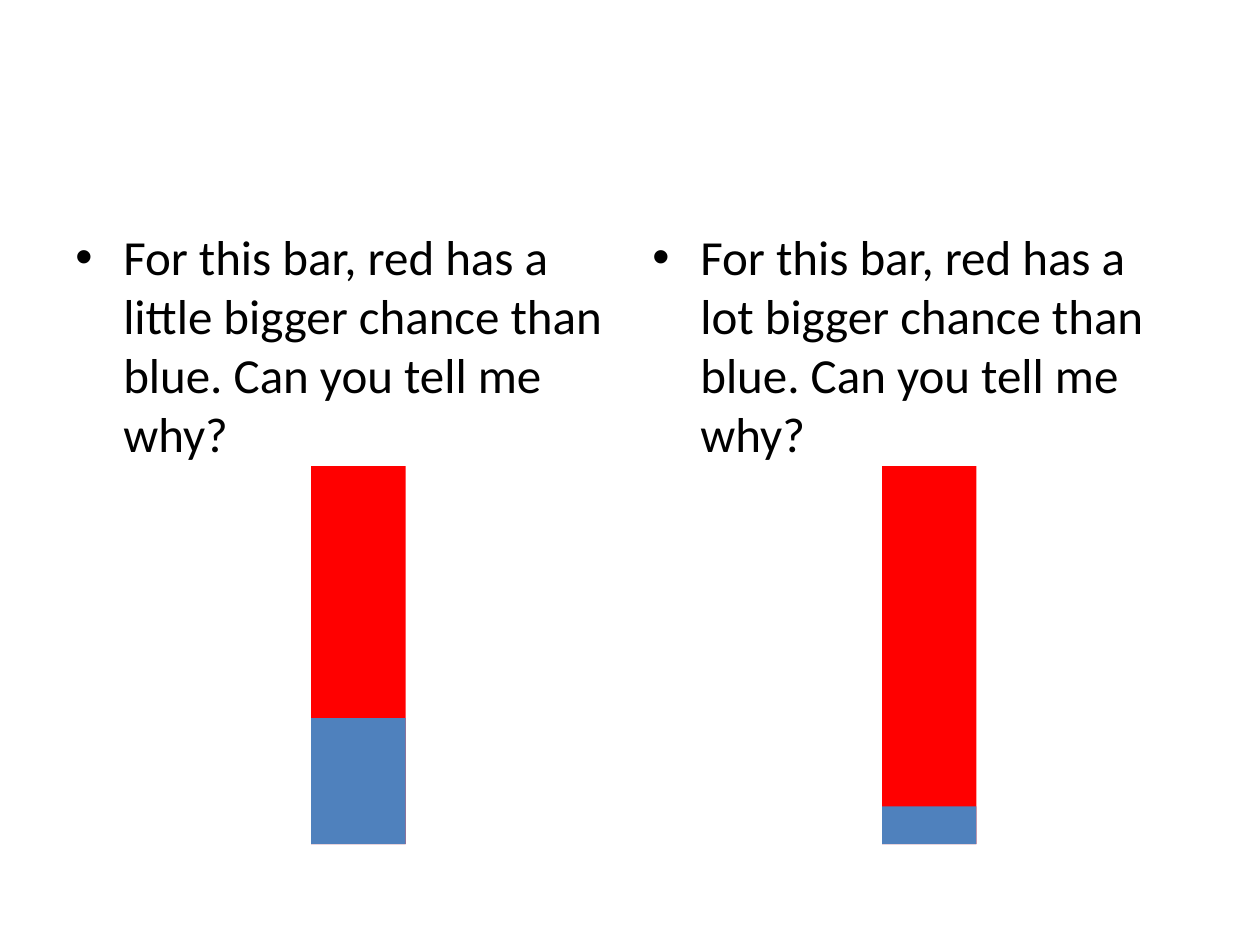
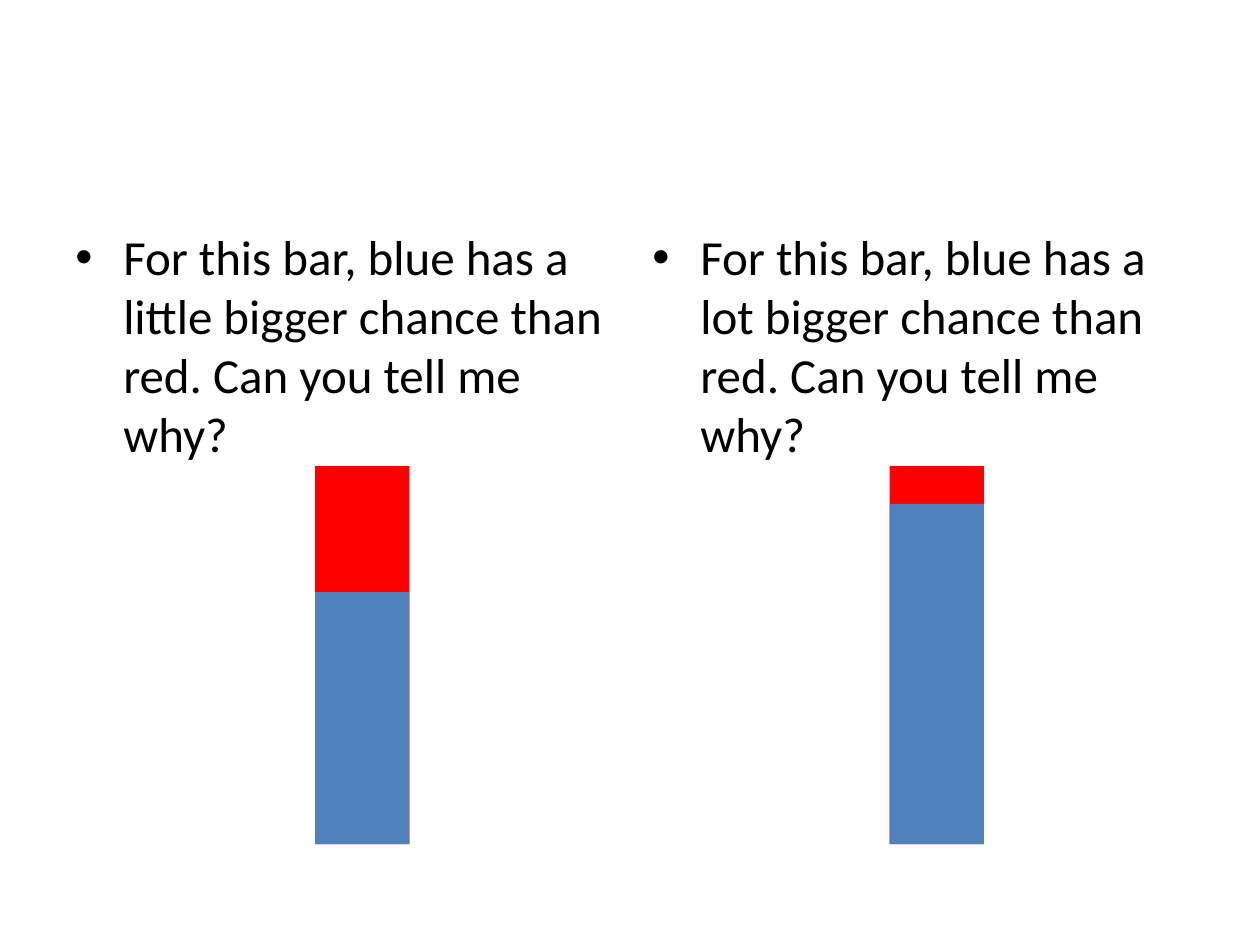
import dataclasses
import typing

import lxml.etree
import pptx
import pptx.dml.color
import pptx.enum.shapes
import pptx.enum.text
import pptx.oxml.ns
import pptx.shapes.group
import pptx.slide
import pptx.util


@dataclasses.dataclass(frozen=True)
class Theme:
    font: str = "Calibri"
    text_size: int = 28
    text: str = "000000"
    red: str = "FF0000"
    blue: str = "4F81BD"
    background: str = "FFFFFF"


@dataclasses.dataclass(frozen=True)
class Question:
    text_column: float
    bar_column: float
    favoured: str
    amount: str
    other: str
    blue_share: float

    @property
    def wording(self) -> str:
        return (f"For this bar, {self.favoured} has a {self.amount} bigger "
                f"chance than {self.other}. Can you tell me why?")


THEME = Theme()
SLIDE_WIDTH = pptx.util.Inches(10)
SLIDE_HEIGHT = pptx.util.Inches(7.5)
COLUMNS, ROWS = 40, 30

TEXT_ROW, TEXT_WIDTH, TEXT_HEIGHT = 7, 17.68, 19.8
LEFT_TEXT = 2
RIGHT_TEXT = COLUMNS - LEFT_TEXT - TEXT_WIDTH
BAR_ROW, BAR_WIDTH, BAR_HEIGHT = 14.8, 3, 12
INDENT = pptx.util.Inches(0.38)

SLIDES = (
    (Question(LEFT_TEXT, 9.88, "red", "little", "blue", 1 / 3),
     Question(RIGHT_TEXT, 28, "red", "lot", "blue", 0.1)),
    (Question(LEFT_TEXT, 10, "blue", "little", "red", 2 / 3),
     Question(RIGHT_TEXT, 28.24, "blue", "lot", "red", 0.9)),
)


def grid_box(column: float, row: float, width: float, height: float) -> tuple[int, ...]:
    """Turn grid columns and rows into left, top, width and height."""
    across, down = SLIDE_WIDTH / COLUMNS, SLIDE_HEIGHT / ROWS
    return (round(column * across), round(row * down),
            round(width * across), round(height * down))


def set_attributes(target: typing.Any, values: dict[str, typing.Any]) -> None:
    for name, value in values.items():
        setattr(target, name, value)


def color(value: str) -> pptx.dml.color.RGBColor:
    return pptx.dml.color.RGBColor.from_string(value)


def add_bullet(paragraph: typing.Any) -> None:
    """Give a paragraph a hanging bullet and a gap of 20% above it."""
    properties = paragraph._p.get_or_add_pPr()
    properties.set("marL", str(INDENT))
    properties.set("indent", str(-INDENT))
    qualified = pptx.oxml.ns.qn
    spacing = lxml.etree.SubElement(properties, qualified("a:spcBef"))
    lxml.etree.SubElement(spacing, qualified("a:spcPct"), val="20000")
    lxml.etree.SubElement(properties, qualified("a:buFont"), typeface="Arial")
    lxml.etree.SubElement(properties, qualified("a:buChar"), char="•")


def add_question_text(slide: pptx.slide.Slide, question: Question) -> None:
    box = grid_box(question.text_column, TEXT_ROW, TEXT_WIDTH, TEXT_HEIGHT)
    frame = slide.shapes.add_textbox(*box).text_frame
    set_attributes(frame, {
        "word_wrap": True,
        "auto_size": pptx.enum.text.MSO_AUTO_SIZE.NONE,
        "vertical_anchor": pptx.enum.text.MSO_ANCHOR.TOP,
    })
    paragraph = frame.paragraphs[0]
    add_bullet(paragraph)
    run = paragraph.add_run()
    run.text = question.wording
    set_attributes(run.font, {"name": THEME.font, "size": pptx.util.Pt(THEME.text_size)})
    run.font.color.rgb = color(THEME.text)


def add_bar_part(bar: pptx.shapes.group.GroupShape, column: float,
                 share: float, fill: str) -> None:
    """Draw a rectangle that fills a share of the bar, measured from its foot."""
    height = BAR_HEIGHT * share
    box = grid_box(column, BAR_ROW + BAR_HEIGHT - height, BAR_WIDTH, height)
    shape = bar.shapes.add_shape(pptx.enum.shapes.MSO_SHAPE.RECTANGLE, *box)
    shape.shadow.inherit = False
    shape.fill.solid()
    shape.fill.fore_color.rgb = color(fill)
    shape.line.fill.background()


def add_bar(slide: pptx.slide.Slide, question: Question) -> None:
    bar = slide.shapes.add_group_shape()
    for share, fill in ((1, THEME.red), (question.blue_share, THEME.blue)):
        add_bar_part(bar, question.bar_column, share, fill)


def add_question_slide(presentation: typing.Any, questions: tuple[Question, ...]) -> None:
    slide = presentation.slides.add_slide(presentation.slide_layouts[6])
    slide.background.fill.solid()
    slide.background.fill.fore_color.rgb = color(THEME.background)
    for draw in (add_question_text, add_bar):
        for question in questions:
            draw(slide, question)


def main() -> None:
    presentation = pptx.Presentation()
    set_attributes(presentation, {"slide_width": SLIDE_WIDTH, "slide_height": SLIDE_HEIGHT})
    for questions in SLIDES:
        add_question_slide(presentation, questions)
    presentation.save("out.pptx")


if __name__ == "__main__":
    main()
